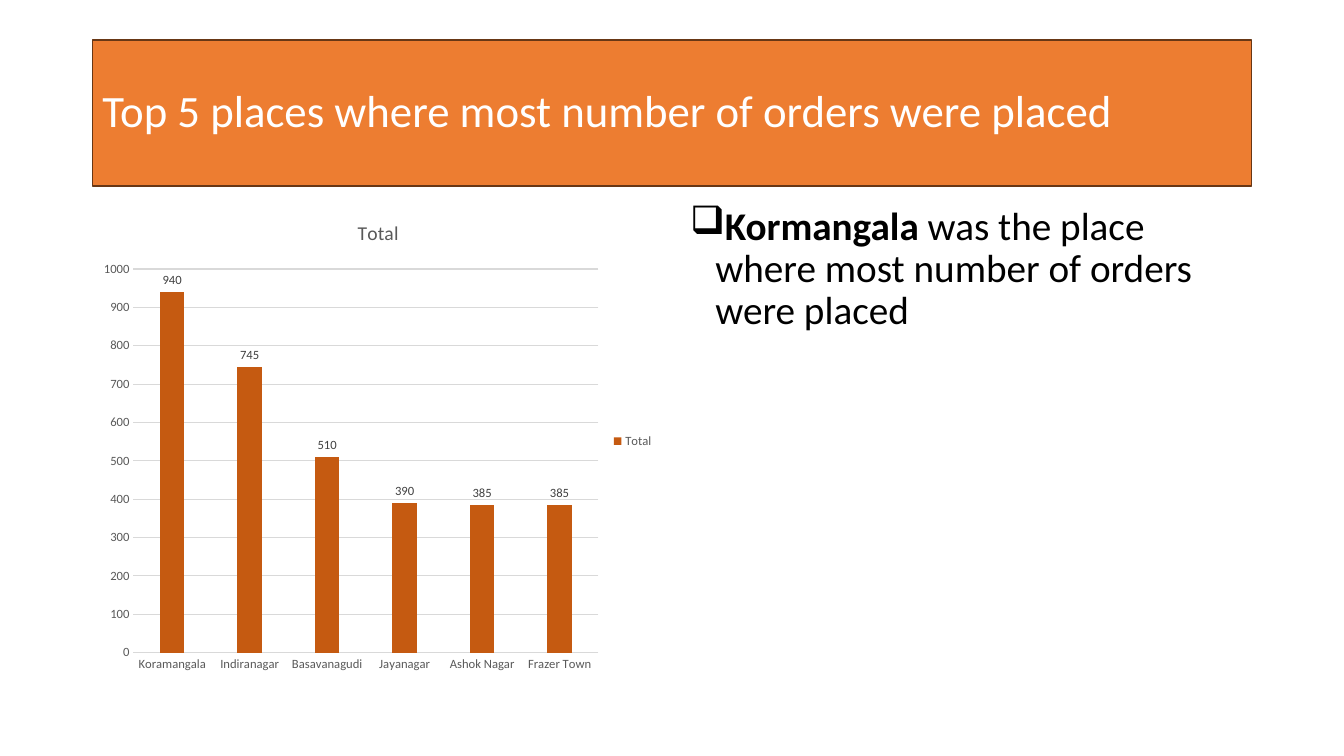
from dataclasses import dataclass

from lxml.etree import SubElement
from pptx import Presentation
from pptx.chart.data import CategoryChartData as ChartData
from pptx.dml.color import RGBColor as Rgb
from pptx.enum.chart import XL_CHART_TYPE as Kind
from pptx.enum.chart import XL_LABEL_POSITION as LabelPos
from pptx.enum.chart import XL_LEGEND_POSITION as LegendPos
from pptx.enum.chart import XL_TICK_MARK as Tick
from pptx.enum.shapes import MSO_SHAPE as Shape
from pptx.enum.text import MSO_ANCHOR as Anchor
from pptx.enum.text import PP_ALIGN as Align
from pptx.oxml.ns import qn
from pptx.util import Cm, Pt


@dataclass(frozen=True)
class Theme:
    face: str = "Calibri"
    white: str = "FFFFFF"
    black: str = "000000"
    banner: str = "ED7D31"
    edge: str = "683715"
    bar: str = "C55A11"
    grid: str = "D9D9D9"
    gray: str = "595959"
    dark: str = "404040"
    head: int = 32
    body: int = 28
    title: int = 14
    base: int = 10
    small: int = 9


THEME = Theme()
LEFT, TOP, WIDE = Cm(2.33), Cm(5.07), Cm(29.21)
RIGHT, HALF, HIGH = Cm(17.14), Cm(14.4), Cm(12.09)

ORDERS = {
    "Koramangala": 940,
    "Indiranagar": 745,
    "Basavanagudi": 510,
    "Jayanagar": 390,
    "Ashok Nagar": 385,
    "Frazer Town": 385,
}


def style(font, size, color):
    font.name = THEME.face
    font.size = Pt(size)
    font.color.rgb = Rgb.from_string(color)


def paint(fill, color):
    fill.solid()
    fill.fore_color.rgb = Rgb.from_string(color)


def rule(line, color, width):
    line.color.rgb = Rgb.from_string(color)
    line.width = Pt(width)


def add_banner(slide, text):
    box = slide.shapes.add_shape(Shape.RECTANGLE, LEFT, Cm(1.01), WIDE, Cm(3.68))
    box.shadow.inherit = False
    paint(box.fill, THEME.banner)
    rule(box.line, THEME.edge, 1)
    frame = box.text_frame
    frame.vertical_anchor = Anchor.MIDDLE
    para = frame.paragraphs[0]
    para.text = text
    para.alignment = Align.LEFT
    para.line_spacing = 0.9
    style(para.font, THEME.head, THEME.white)


def add_bullet(slide, lead, rest):
    """Add a text box with one bulleted paragraph that opens in bold."""
    frame = slide.shapes.add_textbox(RIGHT, TOP, HALF, HIGH).text_frame
    frame.word_wrap = True
    para = frame.paragraphs[0]
    para.line_spacing = 0.9
    para.space_before = Pt(10)
    props = para._p.get_or_add_pPr()
    indent = Cm(0.64)
    props.set("marL", str(indent))
    props.set("indent", str(-indent))
    SubElement(props, qn("a:buChar")).set("char", "❑")
    style(para.font, THEME.body, THEME.black)
    for text, bold in ((lead, True), (rest, False)):
        run = para.add_run()
        run.text = text
        run.font.bold = bold


def set_axes(chart):
    cat, val = chart.category_axis, chart.value_axis
    for axis in (cat, val):
        axis.major_tick_mark = axis.minor_tick_mark = Tick.NONE
        style(axis.tick_labels.font, THEME.small, THEME.gray)
    rule(cat.format.line, THEME.grid, 0.75)
    val.format.line.fill.background()
    val.minimum_scale, val.maximum_scale, val.major_unit = 0, 1000, 100
    rule(val.major_gridlines.format.line, THEME.grid, 0.75)


def set_bars(plot):
    plot.vary_by_categories = False
    plot.gap_width, plot.overlap = 219, -27
    series = plot.series[0]
    paint(series.format.fill, THEME.bar)
    labels = series.data_labels
    labels.show_value = True
    labels.position = LabelPos.OUTSIDE_END
    style(labels.font, THEME.small, THEME.dark)


def add_chart(slide, name, counts):
    data = ChartData()
    data.categories = list(counts)
    data.add_series(name, list(counts.values()))
    chart = slide.shapes.add_chart(
        Kind.COLUMN_CLUSTERED, LEFT, TOP, HALF, HIGH, data
    ).chart
    style(chart.font, THEME.base, THEME.black)
    title = chart.chart_title
    title.include_in_layout = False
    para = title.text_frame.paragraphs[0]
    para.text = name
    style(para.font, THEME.title, THEME.gray)
    para.font.bold = False
    chart.has_legend = True
    legend = chart.legend
    legend.position = LegendPos.RIGHT
    legend.include_in_layout = False
    style(legend.font, THEME.small, THEME.gray)
    set_axes(chart)
    set_bars(chart.plots[0])


def main():
    deck = Presentation()
    deck.slide_width, deck.slide_height = Cm(33.87), Cm(19.05)
    slide = deck.slides.add_slide(deck.slide_layouts[6])
    add_banner(slide, "Top 5 places where most number of orders were placed")
    add_bullet(
        slide, "Kormangala ", "was the place where most number of orders were placed"
    )
    add_chart(slide, "Total", ORDERS)
    deck.save("out.pptx")


if __name__ == "__main__":
    main()
